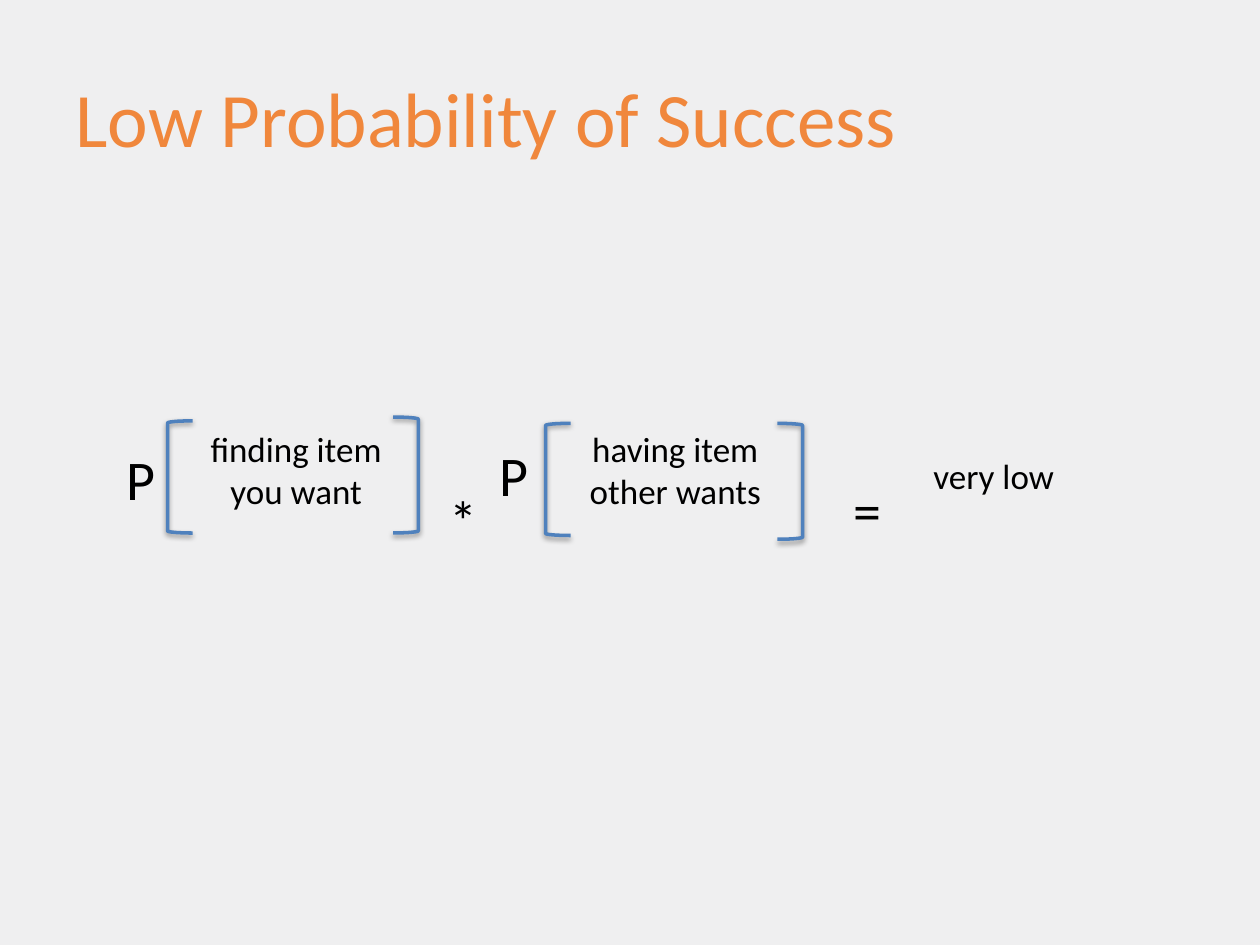
"""Build the slide that shows the low probability of a successful trade."""
from dataclasses import dataclass

from lxml.etree import SubElement
from pptx import Presentation
from pptx.dml.color import RGBColor
from pptx.enum.shapes import MSO_SHAPE as Shape
from pptx.enum.text import MSO_ANCHOR as Anchor, PP_ALIGN as Align
from pptx.oxml.ns import qn
from pptx.util import Inches, Pt


@dataclass(frozen=True)
class Theme:
    font: str = "Calibri"
    background: str = "EFEFF0"
    title: str = "F0873C"
    text: str = "000000"
    bracket: str = "4F81BD"
    shadow: str = "000000"
    title_size: int = 44
    symbol_size: int = 32
    body_size: int = 20
    line_width: int = 2


THEME = Theme()


def write_lines(frame, lines, size, color, align):
    for index, line in enumerate(lines):
        para = frame.paragraphs[0] if index == 0 else frame.add_paragraph()
        para.alignment = align
        span = para.add_run()
        span.text = line
        span.font.name = THEME.font
        span.font.size = Pt(size)
        span.font.color.rgb = RGBColor.from_string(color)


def add_title(page, text):
    title = page.shapes.title
    title.left, title.top = Inches(0.5), Inches(0.3)
    title.width, title.height = Inches(9), Inches(1.25)
    title.text_frame.vertical_anchor = Anchor.MIDDLE
    write_lines(title.text_frame, [text], THEME.title_size, THEME.title, Align.LEFT)


def add_text(page, lines, left, top, width, height,
             size=THEME.body_size, align=Align.CENTER, anchor=Anchor.TOP, wrap=True):
    box = page.shapes.add_textbox(Inches(left), Inches(top), Inches(width), Inches(height))
    box.text_frame.word_wrap = wrap
    box.text_frame.vertical_anchor = anchor
    write_lines(box.text_frame, lines, size, THEME.text, align)


def add_symbol(page, symbol, left, top, width, anchor=Anchor.TOP):
    add_text(page, [symbol], left, top, width, 1.18,
             size=THEME.symbol_size, anchor=anchor, wrap=False)


def add_shadow(shape):
    shape.shadow.inherit = False
    effects = shape._element.spPr.find(qn("a:effectLst"))
    shadow = SubElement(effects, qn("a:outerShdw"), blurRad=str(Pt(3.1)),
                        dist=str(Pt(1.6)), dir="5400000", rotWithShape="0")
    color = SubElement(shadow, qn("a:srgbClr"), val=THEME.shadow)
    SubElement(color, qn("a:alpha"), val="38000")


def add_bracket(page, kind, left, top, height):
    bracket = page.shapes.add_shape(kind, Inches(left), Inches(top), Inches(0.2), Inches(height))
    bracket.fill.background()
    bracket.line.color.rgb = RGBColor.from_string(THEME.bracket)
    bracket.line.width = Pt(THEME.line_width)
    add_shadow(bracket)


def add_probability(page, lines, symbol_at, text_at, left_at, right_at):
    """Draw one P[...] factor from the positions of its four parts."""
    add_text(page, lines, *text_at, 0.77)
    add_symbol(page, "P", *symbol_at, 0.37)
    add_bracket(page, Shape.LEFT_BRACKET, *left_at, 0.89)
    add_bracket(page, Shape.RIGHT_BRACKET, *right_at, 0.92)


def main():
    deck = Presentation()
    deck.slide_width, deck.slide_height = Inches(10), Inches(7.5)
    page = deck.slides.add_slide(deck.slide_layouts[5])
    page.background.fill.solid()
    page.background.fill.fore_color.rgb = RGBColor.from_string(THEME.background)

    add_title(page, "Low Probability of Success")
    add_probability(page, ["finding item", "you want"],
                    (0.91, 3.48), (1.49, 3.34, 1.72), (1.33, 3.34), (3.12, 3.31))
    add_symbol(page, "*", 3.47, 3.53, 0.35, Anchor.MIDDLE)
    add_probability(page, ["having item", "other wants"],
                    (3.87, 3.45), (4.48, 3.34, 1.76), (4.33, 3.36), (6.17, 3.36))
    add_symbol(page, "=", 6.67, 3.45, 0.43, Anchor.MIDDLE)
    add_text(page, ["very low"], 7.31, 3.56, 1.32, 0.44, align=Align.LEFT)
    deck.save("out.pptx")


if __name__ == "__main__":
    main()
